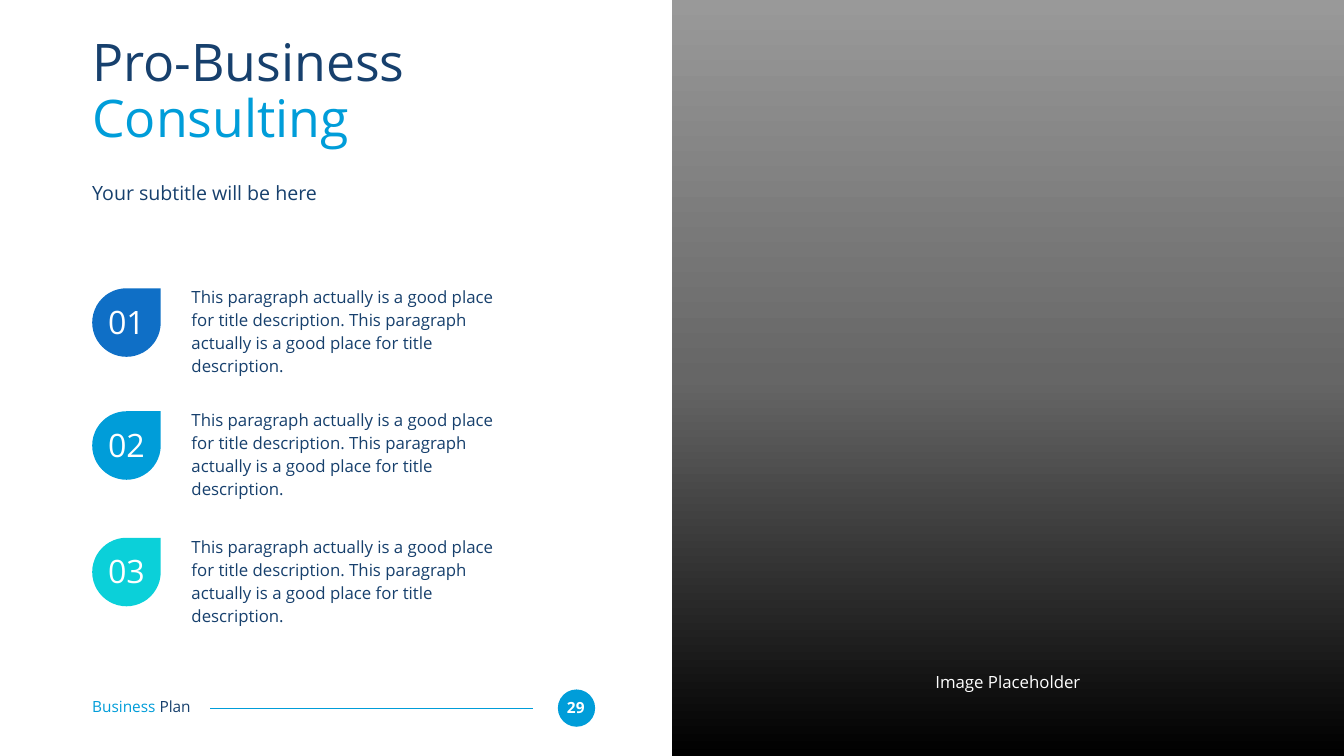
"""Build the consulting slide with three numbered points and an image panel."""
from copy import deepcopy

from lxml.etree import SubElement
from pptx import Presentation
from pptx.dml.color import RGBColor
from pptx.enum.shapes import MSO_CONNECTOR, MSO_SHAPE
from pptx.enum.text import PP_ALIGN
from pptx.oxml.ns import qn
from pptx.util import Pt

PX = 9144
NAVY, SKY, WHITE = "17406D", "009DD9", "FFFFFF"
POINT = ("This paragraph actually is a good place for title description. "
         "This paragraph actually is a good place for title description.")

prs = Presentation()
prs.slide_width, prs.slide_height = 2667 * PX, 1500 * PX
slide = prs.slides.add_slide(prs.slide_layouts[6])
rgb = RGBColor.from_string


def add_shape(kind, x, y, w, h, color=None):
    s = slide.shapes.add_shape(kind, x * PX, y * PX, w * PX, h * PX)
    s.shadow.inherit = False
    s.line.fill.background()
    if color:
        s.fill.solid()
        s.fill.fore_color.rgb = rgb(color)
    return s


def add_text(x, y, w, h, runs, size, align=PP_ALIGN.LEFT, spacing=1.0, bold=False):
    tf = slide.shapes.add_textbox(x * PX, y * PX, w * PX, h * PX).text_frame
    tf.word_wrap = True
    tf.margin_left = tf.margin_right = tf.margin_top = tf.margin_bottom = 0
    p = tf.paragraphs[0]
    p.alignment, p.line_spacing = align, spacing
    for text, color in runs:
        r = p.add_run()
        r.text = text
        r.font.name, r.font.size, r.font.bold = "Open Sans", Pt(size), bold
        r.font.color.rgb = rgb(color)


add_shape(MSO_SHAPE.OVAL, 1107, 1368, 74, 74, SKY)
add_text(1113, 1385, 59, 37, [("29", WHITE)], 22, PP_ALIGN.CENTER, bold=True)
line = slide.shapes.add_connector(
    MSO_CONNECTOR.STRAIGHT, 1057 * PX, 1405 * PX, 416 * PX, 1405 * PX)
line.line.color.rgb = rgb(SKY)
line.line.width = Pt(1.5)
SubElement(line._element.spPr, qn("a:effectLst"))
add_text(183, 1384, 259, 37, [("Business ", SKY), ("Plan", NAVY)], 22)

add_text(183, 73, 990, 252, [("Pro-Business ", NAVY), ("Consulting", SKY)], 74, spacing=0.9)
add_text(183, 359, 990, 49, [("Your subtitle will be here", NAVY)], 28)

points = [("01", 572, "0F6FC6"), ("02", 816, SKY), ("03", 1067, "0BD0D9")]
for number, y, color in points:
    add_text(380, y - 8, 628, 153, [(POINT, NAVY)], 24, spacing=1.14)
    add_shape(MSO_SHAPE.TEAR, 183, y, 136, 136, color)
    add_text(196, y + 27, 110, 77, [(number, WHITE)], 46, PP_ALIGN.CENTER)

panel = add_shape(MSO_SHAPE.RECTANGLE, 1333, 0, 1334, 1500)
panel.fill.gradient()
panel.fill.gradient_angle = 90
stops = panel._element.spPr.find(".//" + qn("a:gsLst"))
stops.append(deepcopy(stops[-1]))
for stop, position, color in zip(
        panel.fill.gradient_stops, (0, 0.5, 1), ("000000", "666666", "999999")):
    stop.position = position
    stop.color.rgb = rgb(color)
add_text(1648, 1332, 704, 40, [("Image Placeholder", WHITE)], 24, PP_ALIGN.CENTER)

prs.save("out.pptx")
